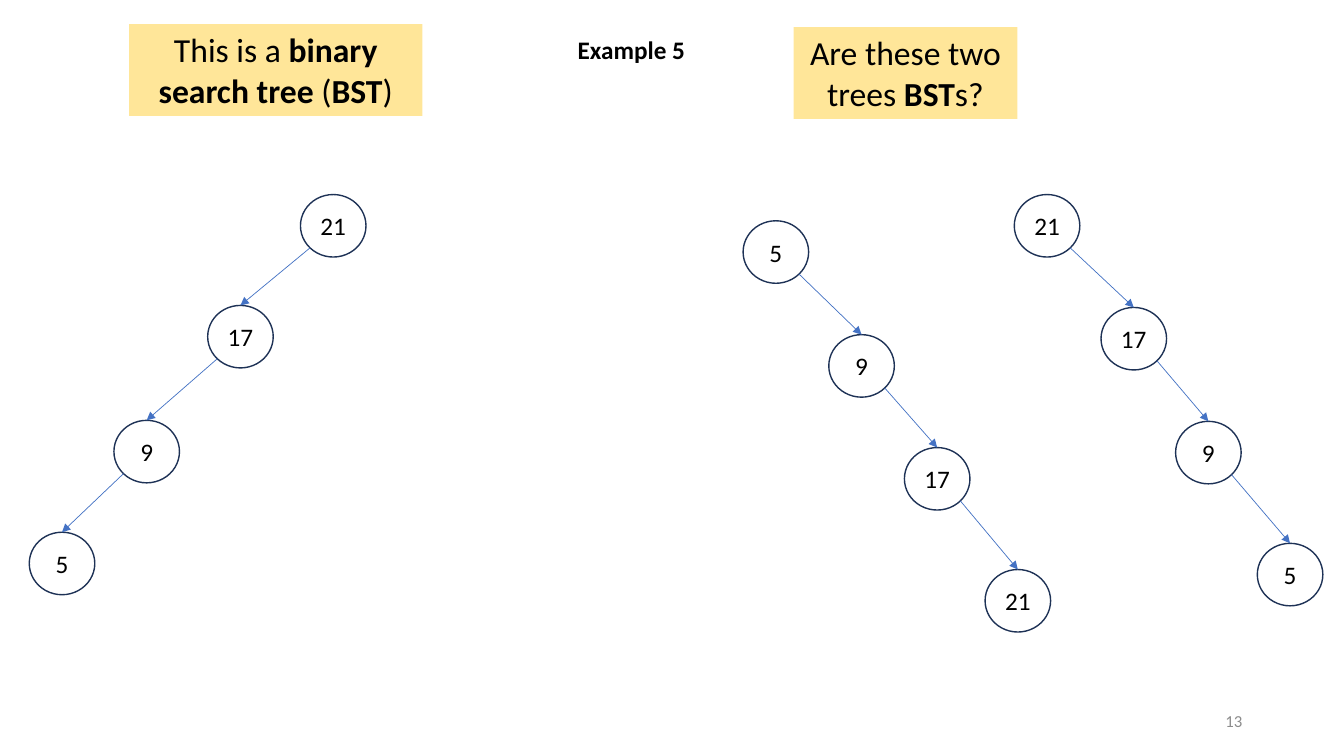
from math import sqrt
from lxml import etree
from pptx import Presentation
from pptx.dml.color import RGBColor
from pptx.enum.shapes import MSO_CONNECTOR, MSO_SHAPE
from pptx.enum.text import MSO_ANCHOR, PP_ALIGN
from pptx.oxml.ns import qn
from pptx.util import Inches, Pt


def color(code):
    return RGBColor.from_string(code)


def write(shape, runs, size, align, code="000000", anchor=MSO_ANCHOR.TOP):
    frame = shape.text_frame
    frame.vertical_anchor = anchor
    para = frame.paragraphs[0]
    para.alignment = align
    para.line_spacing = 1.0
    for text, bold in runs:
        run = para.add_run()
        run.text = text
        run.font.name = "Calibri"
        run.font.size = Pt(size)
        run.font.bold = bold
        run.font.color.rgb = color(code)


prs = Presentation()
prs.slide_width, prs.slide_height = Inches(13.33), Inches(7.5)
slide = prs.slides.add_slide(prs.slide_layouts[5])
shapes = slide.shapes

# Title
title = shapes.title
title.left, title.top = Inches(5.63), Inches(0.29)
title.width, title.height = Inches(1.27), Inches(0.4)
title.text_frame.word_wrap = False
write(title, [("Example 5", True)], 18, PP_ALIGN.LEFT)

# Yellow captions
captions = [
    (1.28, 0.24, 2.91, [("This is a ", False), ("binary search tree", True),
                        (" (", False), ("BST", True), (")", False)]),
    (7.87, 0.27, 2.22, [("Are these two trees ", False), ("BST", True),
                        ("s?", False)]),
]
for left, top, width, runs in captions:
    box = shapes.add_shape(MSO_SHAPE.RECTANGLE, Inches(left), Inches(top),
                           Inches(width), Inches(0.91))
    box.shadow.inherit = False
    box.fill.solid()
    box.fill.fore_color.rgb = color("FFE699")
    box.line.fill.background()
    box.text_frame.word_wrap = True
    write(box, runs, 24, PP_ALIGN.CENTER)

# Trees: side on which children hang, then nodes from the root down
WIDE, HIGH = 0.65, 0.62
trees = [
    (-1, [("21", 2.98, 1.93), ("17", 2.06, 3.03),
          ("9", 1.13, 4.17), ("5", 0.29, 5.28)]),
    (1, [("5", 7.37, 2.19), ("9", 8.22, 3.32),
         ("17", 8.97, 4.44), ("21", 9.77, 5.65)]),
    (1, [("21", 10.06, 1.93), ("17", 10.92, 3.05),
         ("9", 11.66, 4.18), ("5", 12.47, 5.39)]),
]
for side, nodes in trees:
    last = None
    for key, left, top in nodes:
        node = shapes.add_shape(MSO_SHAPE.OVAL, Inches(left), Inches(top),
                                Inches(WIDE), Inches(HIGH))
        node.shadow.inherit = False
        node.fill.background()
        node.line.color.rgb = color("1E3256")
        node.line.width = Pt(1)
        frame = node.text_frame
        frame.margin_left = frame.margin_right = 0
        frame.margin_top = frame.margin_bottom = 0
        frame.word_wrap = False
        write(node, [(key, False)], 18, PP_ALIGN.CENTER,
              anchor=MSO_ANCHOR.MIDDLE)

        # Arrow from the parent's lower diagonal point to the child's top
        if last:
            start_x = last[0] + WIDE / 2 * (1 + side / sqrt(2))
            start_y = last[1] + HIGH / 2 * (1 + 1 / sqrt(2))
            edge = shapes.add_connector(
                MSO_CONNECTOR.STRAIGHT, Inches(start_x), Inches(start_y),
                Inches(left + WIDE / 2), Inches(top))
            edge.end_connect(node, 0)
            edge.line.color.rgb = color("4472C4")
            edge.line.width = Pt(0.5)
            props = edge.line._get_or_add_ln()
            etree.SubElement(props, qn("a:tailEnd"), type="triangle")
            etree.SubElement(edge._element.spPr, qn("a:effectLst"))
        last = (left, top)

# Page number
page = shapes.add_textbox(Inches(9.42), Inches(6.95), Inches(3), Inches(0.4))
page.text_frame.word_wrap = True
write(page, [("13", False)], 12, PP_ALIGN.RIGHT, "8C8C8C", MSO_ANCHOR.MIDDLE)

prs.save("out.pptx")
